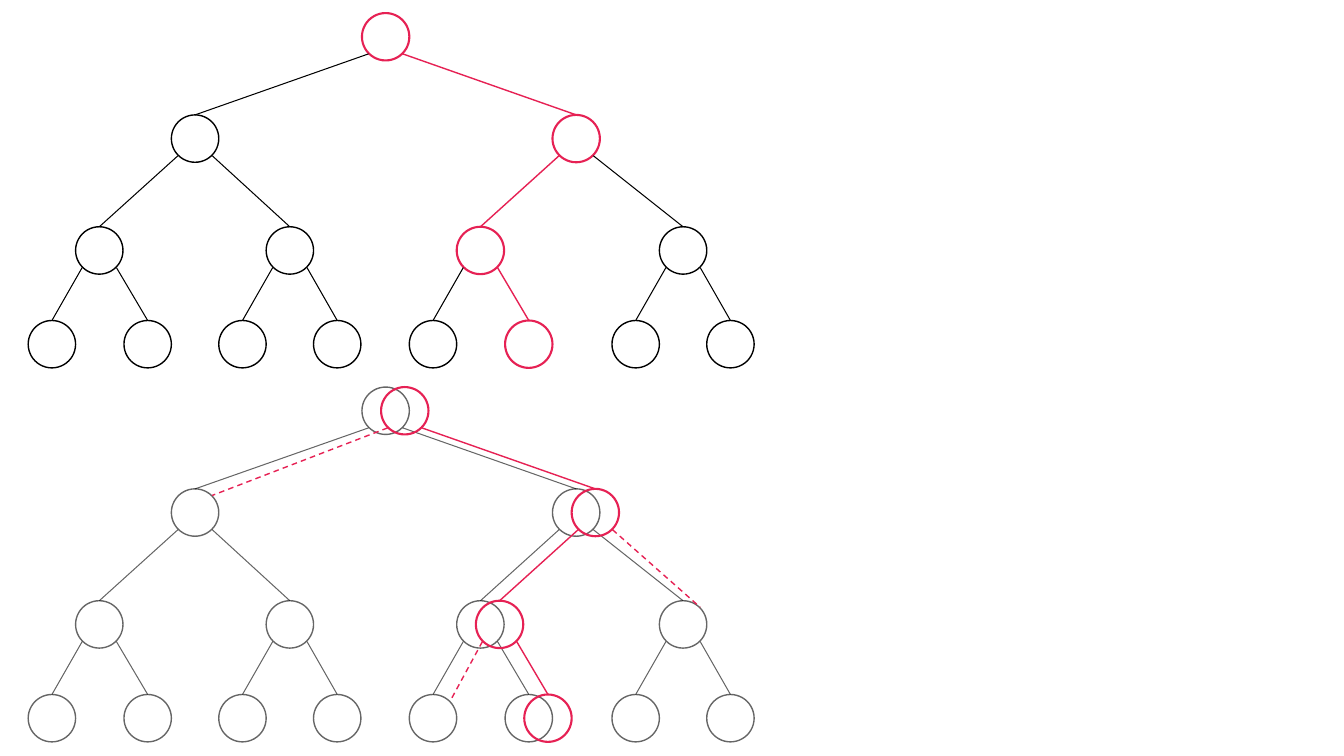
from lxml import etree
from pptx import Presentation
from pptx.dml.color import RGBColor
from pptx.enum.dml import MSO_LINE
from pptx.enum.shapes import MSO_CONNECTOR, MSO_SHAPE
from pptx.oxml.ns import qn
from pptx.util import Inches, Pt

OVAL = MSO_SHAPE.OVAL
STRAIGHT = MSO_CONNECTOR.STRAIGHT
DASH = MSO_LINE.DASH
COLORS = {"node": "000000", "path": "E62154"}

# Left edges of the nodes, level by level; node n has children 2n and 2n + 1
LEVELS = [
    (0.13, [3.59]),
    (1.14, [1.70, 5.48]),
    (2.25, [0.75, 2.64, 4.53, 6.54]),
    (3.18, [0.28, 1.23, 2.17, 3.11, 4.06, 5.01, 6.07, 7.01]),
]
PATH = [1, 3, 6, 13]
SIBLINGS = [(1, 2), (3, 7), (6, 12)]  # links from the new path to shared nodes

DIAMETER = 0.47
RADIUS = DIAMETER / 2
DIAGONAL = 0.17  # horizontal and vertical reach of a point at 45 degrees
LOWER_TREE = 3.71
PATH_SHIFT = 0.19
FADED = 60

lefts_and_tops = [(left, top) for top, lefts in LEVELS for left in lefts]
POSITIONS = dict(enumerate(lefts_and_tops, start=1))


def center(node, dx=0, dy=0):
    left, top = POSITIONS[node]
    return left + RADIUS + dx, top + RADIUS + dy


def style_line(line, color, width, opacity=100):
    line.color.rgb = RGBColor.from_string(COLORS[color])
    line.width = Pt(width)
    if opacity < 100:
        color_element = line._get_or_add_ln().find(".//" + qn("a:srgbClr"))
        alpha = etree.SubElement(color_element, qn("a:alpha"))
        alpha.set("val", str(opacity * 1000))


def add_node(shapes, node, color, dx, dy, opacity):
    left, top = POSITIONS[node]
    circle = shapes.add_shape(OVAL, Inches(left + dx), Inches(top + dy),
                              Inches(DIAMETER), Inches(DIAMETER))
    circle.shadow.inherit = False
    circle.fill.background()
    style_line(circle.line, color, 1.5 if color == "path" else 1, opacity)
    return circle


def add_link(shapes, start, end, color, opacity=100):
    link = shapes.add_connector(STRAIGHT, *(Inches(value) for value in start + end))
    etree.SubElement(link._element.spPr, qn("a:effectLst"))
    style_line(link.line, color, 1 if color == "path" else 0.75, opacity)
    return link


def lower_corner(parent, child, dx, dy):
    x, y = center(parent, dx, dy)
    side = -1 if child % 2 == 0 else 1
    return x + side * DIAGONAL, y + DIAGONAL


def add_tree(shapes, nodes, highlighted, dx=0, dy=0, opacity=100):
    colors = {node: "path" if node in highlighted else "node" for node in nodes}
    circles = {node: add_node(shapes, node, colors[node], dx, dy, opacity)
               for node in nodes}
    for child in nodes:
        parent = child // 2
        if parent in circles:
            x, y = center(child, dx, dy)
            link = add_link(shapes, lower_corner(parent, child, dx, dy),
                            (x, y - RADIUS), colors[child], opacity)
            link.end_connect(circles[child], 0)


presentation = Presentation()
presentation.slide_width = Inches(13.33)
presentation.slide_height = Inches(7.5)
slide = presentation.slides.add_slide(presentation.slide_layouts[6])

# Upper tree with its highlighted path, and the faded tree below
add_tree(slide.shapes, list(POSITIONS), PATH)
add_tree(slide.shapes, list(POSITIONS), [], dy=LOWER_TREE, opacity=FADED)

# Shifted path over the lower tree
path_group = slide.shapes.add_group_shape()
add_tree(path_group.shapes, PATH, PATH, dx=PATH_SHIFT, dy=LOWER_TREE)

# Dashed links to the upper right of each shared node
for parent, child in SIBLINGS:
    x, y = center(child, dy=LOWER_TREE)
    shared_link = add_link(slide.shapes,
                           lower_corner(parent, child, PATH_SHIFT, LOWER_TREE),
                           (x + DIAGONAL, y - DIAGONAL), "path")
    shared_link.line.dash_style = DASH

presentation.save("out.pptx")
